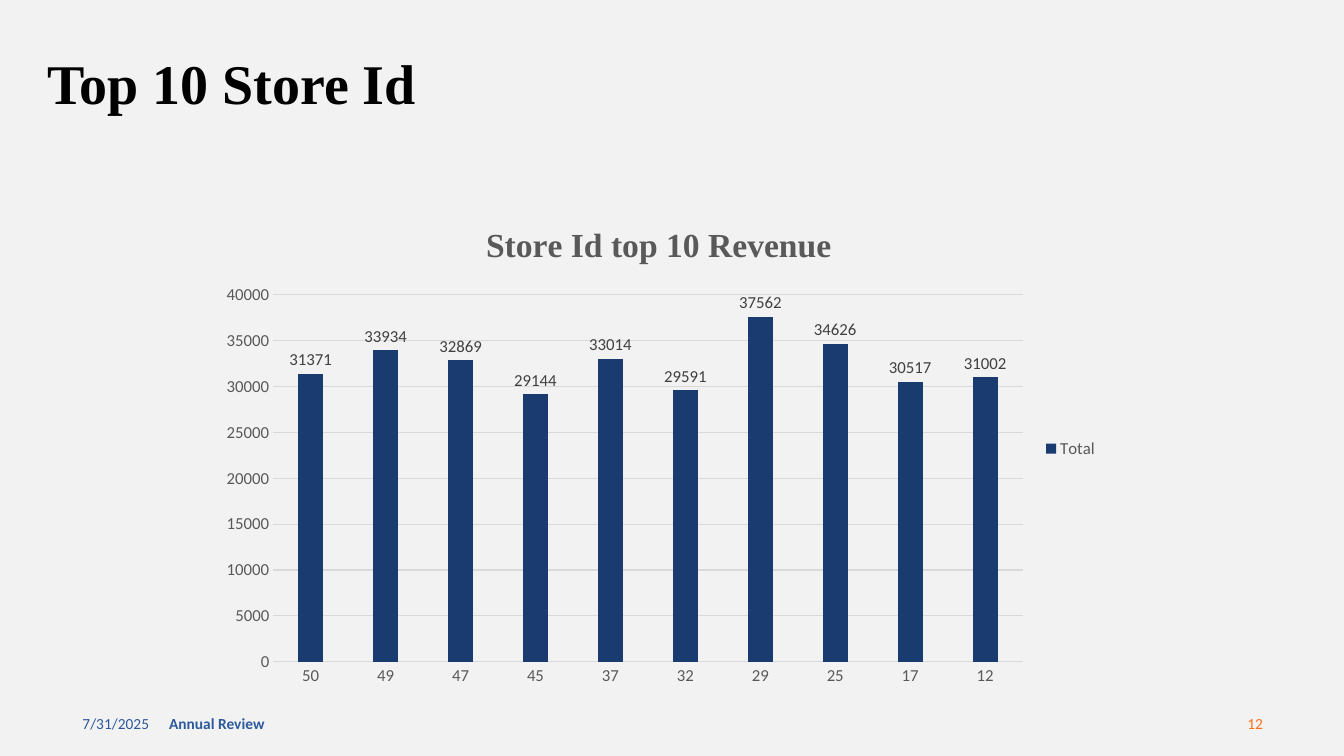
from dataclasses import dataclass

from pptx import Presentation
from pptx.chart.data import CategoryChartData
from pptx.dml.color import RGBColor
from pptx.enum.chart import XL_CHART_TYPE, XL_LABEL_POSITION, XL_LEGEND_POSITION, XL_TICK_MARK
from pptx.enum.text import MSO_ANCHOR, PP_ALIGN
from pptx.util import Cm, Pt

COLUMNS = XL_CHART_TYPE.COLUMN_CLUSTERED
OUTSIDE_END = XL_LABEL_POSITION.OUTSIDE_END
LEGEND_RIGHT = XL_LEGEND_POSITION.RIGHT
NO_TICK = XL_TICK_MARK.NONE
MIDDLE, TOP = MSO_ANCHOR.MIDDLE, MSO_ANCHOR.TOP
LEFT, RIGHT = PP_ALIGN.LEFT, PP_ALIGN.RIGHT
TITLE_ONLY = 5


@dataclass(frozen=True)
class Theme:
    heading: str = "Times New Roman"
    body: str = "Calibri"
    background: str = "F2F2F2"
    black: str = "000000"
    bar: str = "1A3B70"
    footer: str = "2C599D"
    accent: str = "FA6F1A"
    muted: str = "595959"
    label: str = "404040"
    grid: str = "D9D9D9"
    title_size: int = 40
    chart_title_size: int = 24
    chart_size: int = 12
    footer_size: int = 11


@dataclass(frozen=True)
class Box:
    """A rectangle in centimetres."""
    left: float
    top: float
    width: float
    height: float

    def lengths(self):
        return Cm(self.left), Cm(self.top), Cm(self.width), Cm(self.height)


THEME = Theme()
STORE_REVENUE = {
    "50": 31371, "49": 33934, "47": 32869, "45": 29144, "37": 33014,
    "32": 29591, "29": 37562, "25": 34626, "17": 30517, "12": 31002,
}


def style_font(font, name, size, color, bold=False):
    font.name = name
    font.size = Pt(size)
    font.bold = bold
    font.color.rgb = RGBColor.from_string(color)


def style_line(line, color):
    line.color.rgb = RGBColor.from_string(color)
    line.width = Pt(0.75)


def write_text(frame, text, font_style, align=LEFT, anchor=MIDDLE):
    frame.word_wrap = True
    frame.vertical_anchor = anchor
    para = frame.paragraphs[0]
    para.alignment = align
    span = para.add_run()
    span.text = text
    style_font(span.font, *font_style)


def place_title(page, box, text):
    title = page.shapes.title
    title.left, title.top, title.width, title.height = box.lengths()
    write_text(title.text_frame, text,
               (THEME.heading, THEME.title_size, THEME.black, True), anchor=TOP)


def add_revenue_chart(page, box, revenue):
    data = CategoryChartData()
    data.categories = list(revenue)
    data.add_series("Total", list(revenue.values()))
    chart = page.shapes.add_chart(COLUMNS, *box.lengths(), data).chart
    chart_font = (THEME.body, THEME.chart_size, THEME.muted)
    style_font(chart.font, *chart_font)

    chart.has_title = True
    span = chart.chart_title.text_frame.paragraphs[0].add_run()
    span.text = "Store Id top 10 Revenue"
    style_font(span.font, THEME.heading, THEME.chart_title_size, THEME.muted, True)
    chart.chart_title.include_in_layout = False

    chart.has_legend = True
    chart.legend.position = LEGEND_RIGHT
    chart.legend.include_in_layout = False
    style_font(chart.legend.font, *chart_font)

    for axis in (chart.category_axis, chart.value_axis):
        axis.major_tick_mark = axis.minor_tick_mark = NO_TICK
        style_font(axis.tick_labels.font, *chart_font)
    style_line(chart.category_axis.format.line, THEME.grid)
    values = chart.value_axis
    values.minimum_scale, values.maximum_scale, values.major_unit = 0, 40000, 5000
    values.format.line.fill.background()
    style_line(values.major_gridlines.format.line, THEME.grid)

    plot = chart.plots[0]
    plot.gap_width = 199
    plot.vary_by_categories = False
    fill = plot.series[0].format.fill
    fill.solid()
    fill.fore_color.rgb = RGBColor.from_string(THEME.bar)
    plot.has_data_labels = True
    labels = plot.data_labels
    labels.show_value = True
    labels.position = OUTSIDE_END
    style_font(labels.font, THEME.body, THEME.chart_size, THEME.label)


def add_footer(page, box, date, name, number):
    """Put date and name at the left of the box and the page number at its right."""
    side_width = 7.62
    parts = (
        (date, 0, side_width, THEME.footer, False, LEFT),
        (name, 2.18, 11.43, THEME.footer, True, LEFT),
        (number, box.width - side_width, side_width, THEME.accent, False, RIGHT),
    )
    for text, offset, width, color, bold, align in parts:
        part = Box(box.left + offset, box.top, width, box.height)
        frame = page.shapes.add_textbox(*part.lengths()).text_frame
        write_text(frame, text, (THEME.body, THEME.footer_size, color, bold), align)


def build_store_page(deck):
    page = deck.slides.add_slide(deck.slide_layouts[TITLE_ONLY])
    fill = page.background.fill
    fill.solid()
    fill.fore_color.rgb = RGBColor.from_string(THEME.background)
    add_footer(page, Box(1.83, 17.73, 30.25, 1.02), "7/31/2025", "Annual Review", "12")
    add_revenue_chart(page, Box(5.26, 5.08, 22.68, 12.45), STORE_REVENUE)
    place_title(page, Box(0.94, 1.09, 11.58, 1.96), "Top 10 Store Id")


def main():
    deck = Presentation()
    deck.slide_width, deck.slide_height = Cm(33.87), Cm(19.05)
    build_store_page(deck)
    deck.save("out.pptx")


if __name__ == "__main__":
    main()
